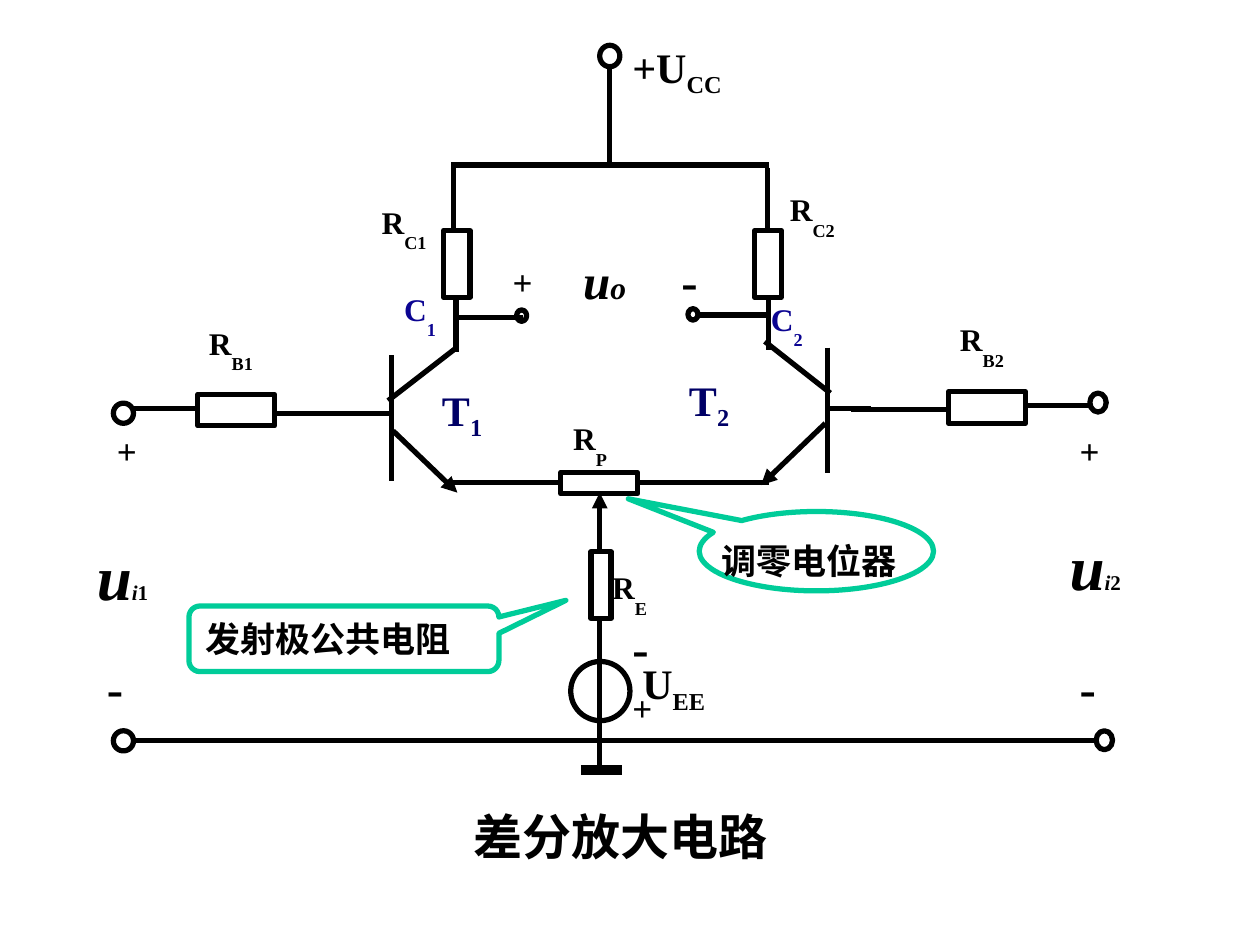
from dataclasses import dataclass
from typing import NamedTuple

from lxml.etree import SubElement
from pptx import Presentation
from pptx.dml.color import RGBColor
from pptx.enum.shapes import MSO_CONNECTOR, MSO_SHAPE
from pptx.enum.text import MSO_ANCHOR, MSO_AUTO_SIZE, PP_ALIGN
from pptx.oxml.ns import qn
from pptx.util import Inches, Pt


@dataclass(frozen=True)
class Theme:
    ink: str = "000000"
    paper: str = "FFFFFF"
    transistor: str = "000066"
    node: str = "0B0492"
    callout: str = "00CC99"
    latin: str = "Times New Roman"
    title_font: str = "Arial"
    cjk: str = "Noto Sans CJK SC"
    voltage: int = 36
    title: int = 28
    minus: int = 28
    large: int = 24
    medium: int = 20
    small: int = 18
    index: int = 12
    stroke: float = 3
    ground: float = 6


THEME = Theme()


class Box(NamedTuple):
    x: float
    y: float
    w: float
    h: float


class Wire(NamedTuple):
    x1: float
    y1: float
    x2: float
    y2: float
    arrow: bool = False
    width: float = THEME.stroke


class Run(NamedTuple):
    text: str
    size: int
    italic: bool = False
    baseline: int = 0


class Label(NamedTuple):
    box: Box
    runs: list[Run]
    color: str = THEME.ink
    font: str = THEME.latin


class Callout(NamedTuple):
    kind: MSO_SHAPE
    box: Box
    adjustments: list[float]
    label: Label


def sub(main: str, index: str, size: int, drop: int) -> list[Run]:
    """A symbol with its subscript lowered by drop percent."""
    return [Run(main, size), Run(index, size, baseline=-drop)]


def big(main: str, index: str) -> list[Run]:
    return sub(main, index, THEME.large, 25)


def part(main: str, index: str) -> list[Run]:
    return sub(main, index, THEME.small, 50)


def input_voltage(index: str) -> list[Run]:
    return [Run("u", THEME.voltage, True), Run("i", THEME.index, True), Run(index, THEME.index)]


PLUS = [Run("+", THEME.medium)]
MINUS = [Run("-", THEME.minus)]

WIRES = [
    # left transistor
    Wire(3.11, 2.82, 3.11, 3.82), Wire(3.12, 3.42, 3.63, 3.91, True),
    Wire(3.08, 3.18, 3.61, 2.77),
    # left collector, output and base
    Wire(3.6, 1.33, 3.6, 1.84), Wire(3.62, 2.36, 3.62, 2.79),
    Wire(3.61, 2.52, 4.15, 2.52), Wire(3.11, 3.28, 2.16, 3.28),
    Wire(1.57, 3.24, 1.04, 3.24),
    # right transistor
    Wire(6.57, 2.76, 6.57, 3.75), Wire(6.55, 3.36, 6.04, 3.85, True),
    Wire(6.59, 3.12, 6.07, 2.71),
    # right collector, output and base
    Wire(6.09, 1.33, 6.09, 1.84), Wire(6.1, 2.35, 6.1, 2.78),
    Wire(6.11, 2.5, 5.54, 2.5), Wire(6.91, 3.24, 6.55, 3.24),
    Wire(6.75, 3.25, 7.51, 3.25), Wire(8.14, 3.22, 8.67, 3.22),
    # supply, emitters and ground
    Wire(4.84, 0.52, 4.84, 1.29), Wire(3.58, 1.31, 6.1, 1.31),
    Wire(3.58, 3.83, 6.1, 3.83), Wire(4.76, 6.11, 4.76, 3.91, True),
    Wire(1.06, 5.88, 8.7, 5.88), Wire(4.61, 6.11, 4.94, 6.11, width=THEME.ground),
]

OPEN_RESISTORS = [
    Box(3.52, 1.83, 0.21, 0.53), Box(5.99, 1.83, 0.21, 0.53),
    Box(1.57, 3.13, 0.61, 0.25), Box(7.53, 3.11, 0.61, 0.25),
]
EMITTER_RESISTORS = [Box(4.45, 3.75, 0.61, 0.17), Box(4.69, 4.38, 0.16, 0.53)]

CIRCLES = [
    Box(4.76, 0.36, 0.16, 0.17), Box(4.1, 2.46, 0.08, 0.09), Box(5.46, 2.45, 0.08, 0.09),
    Box(0.9, 3.2, 0.16, 0.16), Box(8.65, 3.12, 0.13, 0.15),
    Box(0.9, 5.8, 0.16, 0.16), Box(8.7, 5.8, 0.13, 0.15),
    Box(4.53, 5.25, 0.47, 0.47),
]

LABELS = [
    Label(Box(3.41, 3, 0.64, 0.55), big("T", "1"), THEME.transistor),
    Label(Box(5.37, 2.92, 0.64, 0.55), big("T", "2"), THEME.transistor),
    Label(Box(3.11, 2.25, 0.67, 0.5), part("C", "1"), THEME.node),
    Label(Box(6.02, 2.33, 0.67, 0.5), part("C", "2"), THEME.node),
    Label(Box(4.92, 0.28, 1.08, 0.56), big("+U", "CC")),
    Label(Box(5, 5.17, 1.08, 0.56), big("U", "EE")),
    Label(Box(2.93, 1.56, 0.77, 0.5), part("R", "C1")),
    Label(Box(6.17, 1.46, 0.77, 0.5), part("R", "C2")),
    Label(Box(1.56, 2.52, 0.66, 0.5), part("R", "B1")),
    Label(Box(7.52, 2.49, 0.66, 0.5), part("R", "B2")),
    Label(Box(4.45, 3.28, 0.66, 0.5), part("R", "P")),
    Label(Box(4.76, 4.46, 0.66, 0.5), part("R", "E")),
    Label(Box(4.53, 1.94, 0.77, 0.56), [Run("u", THEME.minus, True), Run("o", THEME.small, True)]),
    Label(Box(0.67, 4.22, 0.77, 0.7), input_voltage("1")),
    Label(Box(8.39, 4.14, 0.77, 0.7), input_voltage("2")),
    *(Label(Box(x, y, 0.66, 0.43), PLUS)
      for x, y in [(3.97, 2.02), (0.83, 3.36), (8.47, 3.36), (4.92, 5.4)]),
    *(Label(Box(x, y, 0.66, 0.56), MINUS)
      for x, y in [(5.31, 1.94), (0.75, 5.17), (8.47, 5.17), (4.92, 4.85)]),
]

CALLOUTS = [
    Callout(MSO_SHAPE.OVAL_CALLOUT, Box(5.55, 4.06, 1.86, 0.63), [-0.803, -0.66],
            Label(Box(5.63, 4.23, 1.74, 0.77), [Run("调零电位器", THEME.medium)], font=THEME.cjk)),
    Callout(MSO_SHAPE.ROUNDED_RECTANGULAR_CALLOUT, Box(1.5, 4.81, 2.46, 0.52),
            [0.716, -0.587, 0.167],
            Label(Box(1.53, 4.85, 2.51, 0.44), [Run("发射极公共电阻", THEME.medium)])),
]
TITLE = Label(Box(3.66, 6.35, 2.6, 0.57), [Run("差分放大电路", THEME.title)], font=THEME.title_font)


def rgb(color: str) -> RGBColor:
    return RGBColor.from_string(color)


def place(box: Box) -> list[int]:
    return [Inches(v) for v in box]


def add_wire(slide, wire: Wire) -> None:
    ends = [Inches(v) for v in wire[:4]]
    c = slide.shapes.add_connector(MSO_CONNECTOR.STRAIGHT, *ends)
    c.line.color.rgb = rgb(THEME.ink)
    c.line.width = Pt(wire.width)
    if wire.arrow:
        SubElement(c.line._get_or_add_ln(), qn("a:tailEnd"), type="triangle")
    SubElement(c._element.spPr, qn("a:effectLst"))


def add_outline(slide, kind: MSO_SHAPE, box: Box, color: str = THEME.ink, fill: str = ""):
    sp = slide.shapes.add_shape(kind, *place(box))
    sp.shadow.inherit = False
    if fill:
        sp.fill.solid()
        sp.fill.fore_color.rgb = rgb(fill)
    else:
        sp.fill.background()
    sp.line.color.rgb = rgb(color)
    sp.line.width = Pt(THEME.stroke)
    return sp


def write(tf, label: Label) -> None:
    frame = {"word_wrap": True, "auto_size": MSO_AUTO_SIZE.NONE, "vertical_anchor": MSO_ANCHOR.TOP}
    for name, value in frame.items():
        setattr(tf, name, value)
    p = tf.paragraphs[0]
    p.alignment = PP_ALIGN.LEFT
    for run in label.runs:
        r = p.add_run()
        r.text = run.text
        fmt = {"name": label.font, "size": Pt(run.size), "bold": True, "italic": run.italic}
        for name, value in fmt.items():
            setattr(r.font, name, value)
        r.font.color.rgb = rgb(label.color)
        rPr = r._r.get_or_add_rPr()
        SubElement(rPr, qn("a:ea"), typeface=THEME.cjk)
        if run.baseline:
            rPr.set("baseline", str(run.baseline * 1000))


def add_label(slide, label: Label) -> None:
    write(slide.shapes.add_textbox(*place(label.box)).text_frame, label)


def add_callout(slide, callout: Callout) -> None:
    sp = add_outline(slide, callout.kind, callout.box, THEME.callout)
    for i, value in enumerate(callout.adjustments):
        sp.adjustments[i] = value
    add_label(slide, callout.label)


def main() -> None:
    prs = Presentation()
    prs.slide_width, prs.slide_height = Inches(10), Inches(7.5)
    slide = prs.slides.add_slide(prs.slide_layouts[5])
    title = slide.shapes.title
    title.left, title.top, title.width, title.height = place(TITLE.box)
    write(title.text_frame, TITLE)
    for wire in WIRES:
        add_wire(slide, wire)
    for box in OPEN_RESISTORS:
        add_outline(slide, MSO_SHAPE.RECTANGLE, box)
    for box in EMITTER_RESISTORS:
        add_outline(slide, MSO_SHAPE.RECTANGLE, box, fill=THEME.paper)
    for box in CIRCLES:
        add_outline(slide, MSO_SHAPE.OVAL, box)
    for label in LABELS:
        add_label(slide, label)
    for callout in CALLOUTS:
        add_callout(slide, callout)
    prs.save("out.pptx")


if __name__ == "__main__":
    main()
